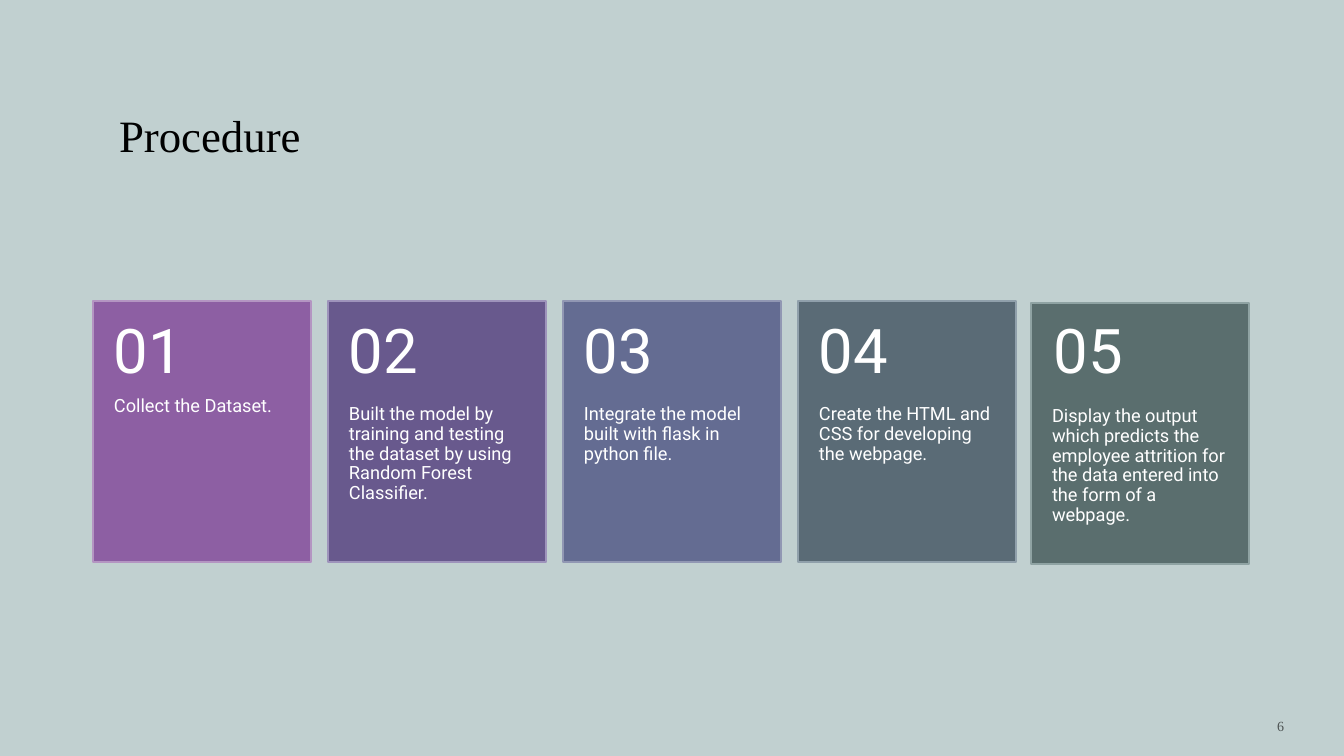
from pptx import Presentation
from pptx.dml.color import RGBColor
from pptx.enum.shapes import MSO_SHAPE
from pptx.enum.text import MSO_ANCHOR, PP_ALIGN
from pptx.util import Pt

PX = 914400 / 100.8


def px(*lengths):
    return [round(length * PX) for length in lengths]


def add_text(text, box, size, font="Roboto", color="FFFFFF", anchor=MSO_ANCHOR.TOP,
             align=PP_ALIGN.LEFT, insets=(10, 5, 10, 5), spacing=1.0):
    frame = slide.shapes.add_textbox(*px(*box)).text_frame
    frame.word_wrap = True
    frame.vertical_anchor = anchor
    frame.margin_left, frame.margin_top, frame.margin_right, frame.margin_bottom = px(*insets)
    paragraph = frame.paragraphs[0]
    paragraph.alignment = align
    paragraph.line_spacing = spacing
    run = paragraph.add_run()
    run.text = text
    run.font.size = Pt(size)
    run.font.name = font
    run.font.color.rgb = RGBColor.from_string(color)


deck = Presentation()
deck.slide_width, deck.slide_height = px(1344, 756)
slide = deck.slides.add_slide(deck.slide_layouts[6])
slide.background.fill.solid()
slide.background.fill.fore_color.rgb = RGBColor.from_string("C1D0D0")

add_text("Procedure", (109, 43, 1126, 123), 32, font="Times New Roman",
         color="000000", anchor=MSO_ANCHOR.BOTTOM)

steps = [
    ("Collect the Dataset.", "8D5FA3", "B495C2"),
    ("Built the model by training and testing the dataset by using Random Forest Classifier.",
     "68598D", "9E93BB"),
    ("Integrate the model built with flask in python file.", "646C92", "9197B3"),
    ("Create the HTML and CSS for developing the webpage.", "5A6B76", "90A0AB"),
    ("Display the output which predicts the employee attrition for the data entered "
     "into the form of a webpage.", "5A6E6E", "8FA3A3"),
]
for number, (description, fill, border) in enumerate(steps, 1):
    left = 93 + 235 * (number - 1)
    number_left = left
    top = 301
    if number == len(steps):
        left, number_left, top = 1031, 1033, 303
    card = slide.shapes.add_shape(MSO_SHAPE.RECTANGLE, *px(left, top, 218, 261))
    card.shadow.inherit = False
    card.fill.solid()
    card.fill.fore_color.rgb = RGBColor.from_string(fill)
    card.line.color.rgb = RGBColor.from_string(border)
    card.line.width = Pt(0.85)
    add_text(description, (left, top + 104, 218, 157), 13,
             insets=(21, 0, 21, 36), spacing=0.9)
    add_text(f"{number:02}", (number_left, 301, 218, 105), 44, anchor=MSO_ANCHOR.MIDDLE,
             insets=(21, 18, 21, 18), spacing=0.9)

add_text("6", (1101, 701, 193, 50), 10, font="Times New Roman", color="4D5353",
         anchor=MSO_ANCHOR.MIDDLE, align=PP_ALIGN.RIGHT)

deck.save("out.pptx")
